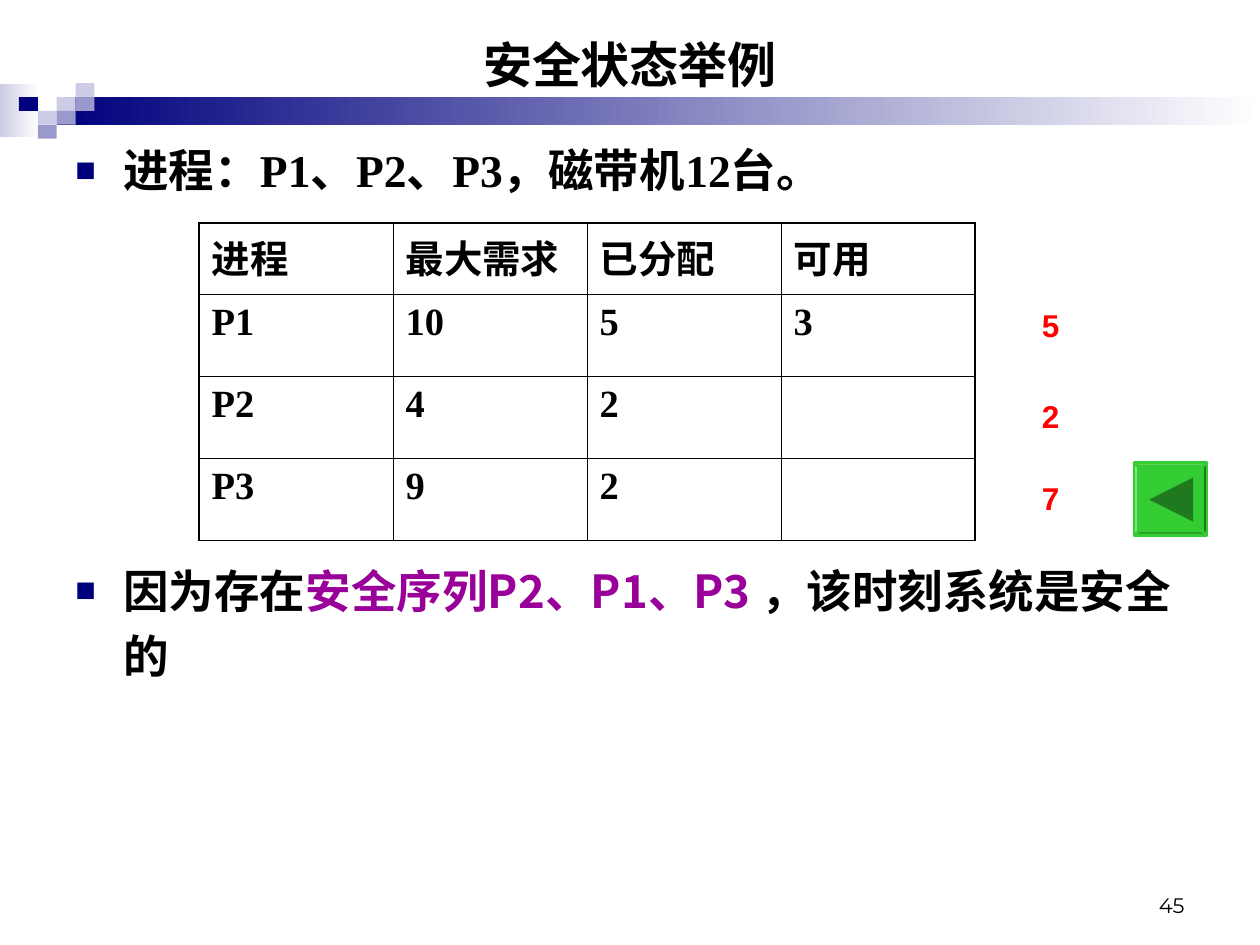
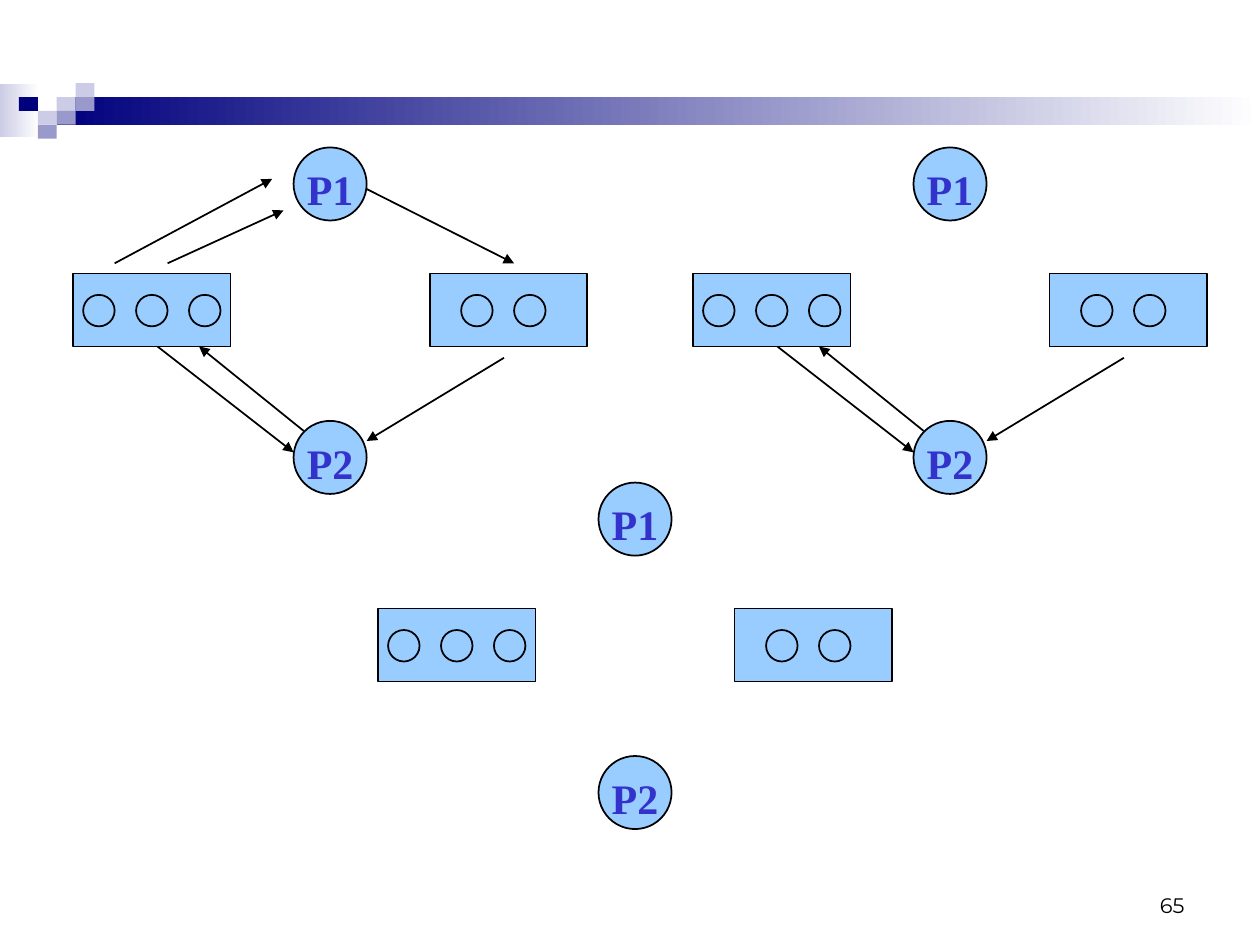
from lxml.etree import SubElement
from pptx import Presentation
from pptx.dml.color import RGBColor
from pptx.enum.shapes import MSO_CONNECTOR, MSO_SHAPE
from pptx.enum.text import MSO_ANCHOR, PP_ALIGN
from pptx.oxml.ns import qn
from pptx.util import Inches, Pt

BLACK = RGBColor(0x00, 0x00, 0x00)
WHITE = RGBColor(0xFF, 0xFF, 0xFF)
NAVY = RGBColor(0x00, 0x00, 0x7D)
LAVENDER = RGBColor(0xCC, 0xCC, 0xE6)
PERIWINKLE = RGBColor(0x99, 0x99, 0xCC)
SKY = RGBColor(0x99, 0xCC, 0xFF)
LABEL_BLUE = RGBColor(0x33, 0x33, 0xCC)
PURPLE = RGBColor(0x99, 0x00, 0x99)
RED = RGBColor(0xFF, 0x00, 0x00)
GREEN = RGBColor(0x33, 0xCC, 0x33)
DARK_GREEN = RGBColor(0x1F, 0x7A, 0x1F)

SANS = "Arial"
SERIF = "Times New Roman"
CHINESE = "Noto Sans CJK SC"
NUMBER_FONT = "Montserrat"

BAND_TOP = 0.77
TILE_WIDTH, TILE_HEIGHT = 0.15, 0.11
# column and row on the tile grid, counted from the left end of the band
TILES = [
    (0, 0, LAVENDER), (1, -1, LAVENDER), (1, 0, PERIWINKLE), (-1, 1, LAVENDER),
    (-2, 0, NAVY), (0, 1, PERIWINKLE), (-1, 2, PERIWINKLE),
]

ALLOCATION = [
    ["进程", "最大需求", "已分配", "可用"],
    ["P1", "10", "5", "3"],
    ["P2", "4", "2", ""],
    ["P3", "9", "2", ""],
]
AVAILABLE_AFTER = [("5", 2.38), ("2", 3.1), ("7", 3.75)]

# arrows of a resource graph, measured from its top left corner
P1_ARROWS = [
    ((0.33, 0.92), (1.58, 0.25)),
    ((0.75, 0.92), (1.67, 0.5)),
    ((2.33, 0.33), (3.5, 0.92)),
]
P2_ARROWS = [
    ((3.42, 1.67), (2.33, 2.33)),
    ((1.83, 2.25), (1, 1.58)),
    ((0.67, 1.58), (1.75, 2.42)),
]


class Page:
    """Holds the deck style and the slide being drawn."""

    def __init__(self, deck, number):
        self.slide = deck.slides.add_slide(deck.slide_layouts[6])
        self.band()
        self.text(7.17, 6.83, 2.33, 0.5, [(str(number), BLACK)], 12, NUMBER_FONT,
                  bold=False, align=PP_ALIGN.RIGHT, anchor=MSO_ANCHOR.BOTTOM)

    def shape(self, kind, left, top, width, height, color, line=None, weight=1):
        shape = self.slide.shapes.add_shape(
            kind, Inches(left), Inches(top), Inches(width), Inches(height))
        shape.shadow.inherit = False
        shape.fill.solid()
        shape.fill.fore_color.rgb = color
        if line is None:
            shape.line.fill.background()
        else:
            shape.line.color.rgb = line
            shape.line.width = Pt(weight)
        return shape

    def fade(self, left, top, width, height, color):
        """A rectangle that fades from the colour to white, left to right."""
        fill = self.shape(MSO_SHAPE.RECTANGLE, left, top, width, height, color).fill
        fill.gradient()
        fill.gradient_angle = 0
        for stop, position, shade in zip(fill.gradient_stops, (0, 1), (color, WHITE)):
            stop.position = position
            stop.color.rgb = shade

    def band(self):
        self.fade(0, 0.67, 0.31, 0.42, LAVENDER)
        self.fade(0.45, BAND_TOP, 9.55, 0.22, NAVY)
        for column, row, color in TILES:
            self.shape(MSO_SHAPE.RECTANGLE, 0.45 + column * TILE_WIDTH,
                       BAND_TOP + row * TILE_HEIGHT, TILE_WIDTH, TILE_HEIGHT, color)

    def add_spans(self, paragraph, spans, size, font, bold=True):
        for words, color in spans:
            span = paragraph.add_run()
            span.text = words
            span.font.size = Pt(size)
            span.font.name = font
            span.font.bold = bold
            span.font.color.rgb = color
            east_asian = SubElement(span.font._element, qn("a:ea"))
            east_asian.set("typeface", CHINESE)

    def text(self, left, top, width, height, spans, size, font, bold=True,
             align=PP_ALIGN.LEFT, anchor=MSO_ANCHOR.TOP, wrap=True):
        box = self.slide.shapes.add_textbox(
            Inches(left), Inches(top), Inches(width), Inches(height))
        frame = box.text_frame
        frame.word_wrap = wrap
        frame.vertical_anchor = anchor
        paragraph = frame.paragraphs[0]
        paragraph.alignment = align
        self.add_spans(paragraph, spans, size, font, bold)
        return paragraph

    def title(self, words):
        self.text(0.5, 0.17, 9, 0.67, [(words, BLACK)], 28, SANS,
                  align=PP_ALIGN.CENTER, anchor=MSO_ANCHOR.MIDDLE)

    def bullet(self, top, width, spans, font, spacing=None):
        paragraph = self.text(0.5, top, width, 0.67, spans, 26, font)
        properties = paragraph._p.get_or_add_pPr()
        properties.set("marL", str(Inches(0.38)))
        properties.set("indent", str(-Inches(0.38)))
        color = SubElement(properties, qn("a:buClr"))
        SubElement(color, qn("a:srgbClr")).set("val", str(NAVY))
        SubElement(properties, qn("a:buSzPct")).set("val", "75000")
        SubElement(properties, qn("a:buFont")).set("typeface", SANS)
        SubElement(properties, qn("a:buChar")).set("char", "■")
        if spacing:
            paragraph.line_spacing = spacing

    def borders(self, cell, outer_sides):
        """Thin black borders, heavier on the sides at the table's edge."""
        properties = cell._tc.get_or_add_tcPr()
        for index, side in enumerate("LRTB"):
            border = SubElement(properties, qn(f"a:ln{side}"))
            border.set("w", str(Pt(1.08 if side in outer_sides else 0.45)))
            fill = SubElement(border, qn("a:solidFill"))
            SubElement(fill, qn("a:srgbClr")).set("val", str(BLACK))
            properties.insert(index, border)

    def table(self, left, top, column_width, row_heights, rows):
        last_row, last_column = len(rows) - 1, len(rows[0]) - 1
        table = self.slide.shapes.add_table(
            len(rows), len(rows[0]), Inches(left), Inches(top),
            Inches(column_width * len(rows[0])), Inches(sum(row_heights))).table
        table.first_row = table.horz_banding = False
        for column in table.columns:
            column.width = Inches(column_width)
        for r, (height, values) in enumerate(zip(row_heights, rows)):
            table.rows[r].height = Inches(height)
            for c, value in enumerate(values):
                cell = table.cell(r, c)
                cell.fill.background()
                edges = {"L": c == 0, "R": c == last_column,
                         "T": r == 0, "B": r == last_row}
                self.borders(cell, [side for side, outer in edges.items() if outer])
                if value:
                    self.add_spans(cell.text_frame.paragraphs[0], [(value, BLACK)],
                                   22, SERIF)

    def back_button(self, left, top):
        button = self.shape(MSO_SHAPE.BEVEL, left, top, 0.58, 0.58, GREEN, GREEN, 1.5)
        button.adjustments[0] = 0.06
        arrow = self.shape(MSO_SHAPE.ISOSCELES_TRIANGLE, left + 0.12, top + 0.12,
                           0.35, 0.35, DARK_GREEN)
        arrow.rotation = 270

    def arrow(self, start, end):
        line = self.slide.shapes.add_connector(
            MSO_CONNECTOR.STRAIGHT, *(Inches(value) for value in (*start, *end)))
        line.line.color.rgb = BLACK
        line.line.width = Pt(1)
        SubElement(line.line._get_or_add_ln(), qn("a:tailEnd")).set("type", "triangle")
        SubElement(line._element.spPr, qn("a:effectLst"))

    def process(self, left, top, name):
        circle = self.shape(MSO_SHAPE.OVAL, left, top, 0.58, 0.58, SKY, BLACK)
        frame = circle.text_frame
        frame.word_wrap = False
        frame.vertical_anchor = MSO_ANCHOR.MIDDLE
        frame.margin_left = frame.margin_right = frame.margin_bottom = 0
        frame.margin_top = Inches(0.08)
        frame.paragraphs[0].alignment = PP_ALIGN.CENTER
        self.add_spans(frame.paragraphs[0], [(name, LABEL_BLUE)], 24, SERIF)

    def resource(self, left, top, units, inset):
        self.shape(MSO_SHAPE.RECTANGLE, left, top, 1.25, 0.58, SKY, BLACK)
        for unit in range(units):
            self.shape(MSO_SHAPE.OVAL, left + inset + unit * 0.42, top + 0.17,
                       0.25, 0.25, SKY, BLACK)

    def resource_graph(self, left, top, arrows):
        self.process(left + 1.75, top, "P1")
        self.resource(left, top + 1, 3, 0.08)
        self.resource(left + 2.83, top + 1, 2, 0.25)
        self.process(left + 1.75, top + 2.17, "P2")
        for start, end in arrows:
            self.arrow((left + start[0], top + start[1]), (left + end[0], top + end[1]))


def safe_state_page(deck):
    page = Page(deck, 45)
    page.title("安全状态举例")
    page.bullet(1.08, 8.58, [("进程：P1、P2、P3，磁带机12台。", BLACK)], SERIF)
    page.table(1.58, 1.77, 1.54, [0.57, 0.65, 0.65, 0.65], ALLOCATION)
    page.bullet(4.33, 9.17, [("因为存在", BLACK), ("安全序列P2、P1、P3 ", PURPLE),
                             ("，该时刻系统是安全的", BLACK)], CHINESE, spacing=1.2)
    page.back_button(9, 3.67)
    for count, top in AVAILABLE_AFTER:
        page.text(8.17, top, 0.34, 0.4, [(count, RED)], 18, SANS, wrap=False)


def graph_reduction_page(deck):
    page = Page(deck, 65)
    page.resource_graph(0.58, 1.17, P1_ARROWS + P2_ARROWS)
    page.resource_graph(5.5, 1.17, P2_ARROWS)
    page.resource_graph(3, 3.83, [])


def main():
    deck = Presentation()
    deck.slide_width, deck.slide_height = Inches(10), Inches(7.5)
    safe_state_page(deck)
    graph_reduction_page(deck)
    deck.save("out.pptx")


if __name__ == "__main__":
    main()
